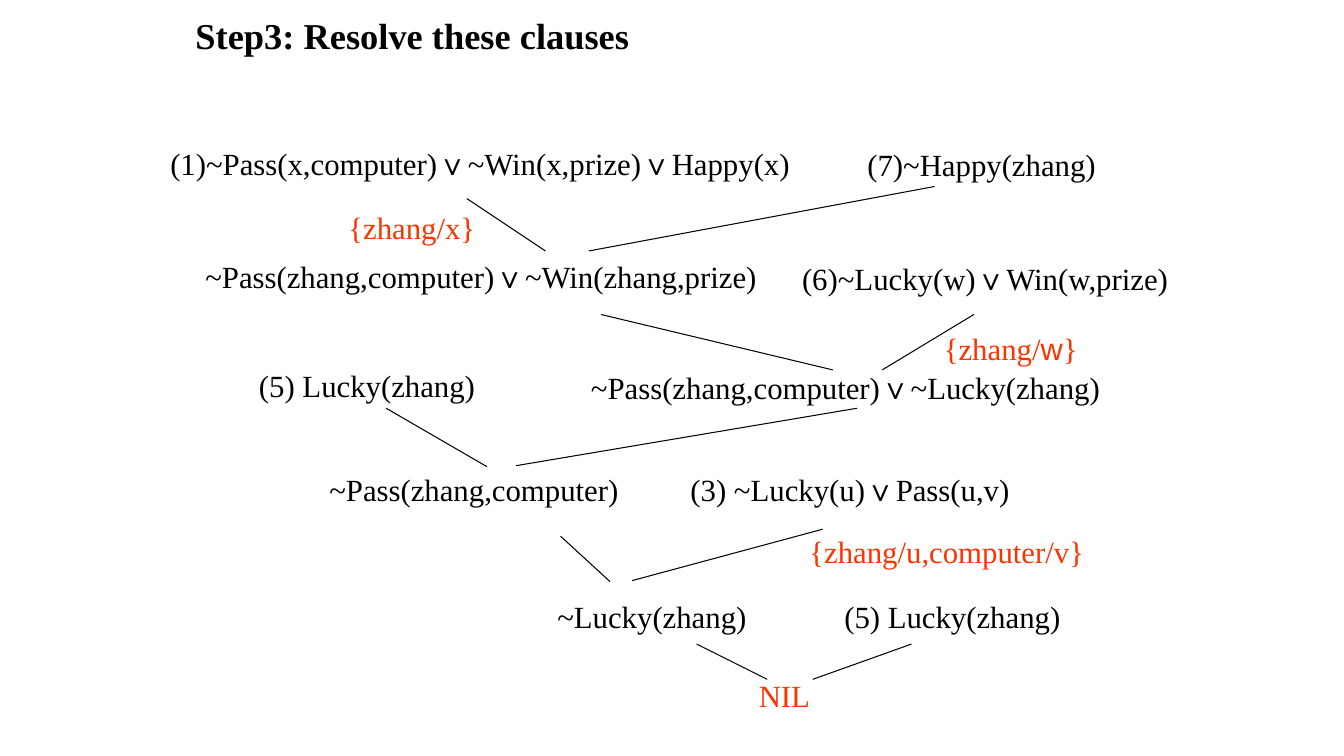
from lxml.etree import SubElement
from pptx import Presentation
from pptx.dml.color import RGBColor
from pptx.enum.shapes import MSO_CONNECTOR, MSO_SHAPE
from pptx.enum.text import MSO_ANCHOR, MSO_AUTO_SIZE, PP_ALIGN
from pptx.oxml.ns import qn
from pptx.util import Inches, Pt

BLACK, WHITE, RED = "000000", "FFFFFF", "FF3300"
SERIF = "Times New Roman"


def color(hex_value):
    return RGBColor.from_string(hex_value)


def write(text, frame, size=22, ink=BLACK, bold=False, align=PP_ALIGN.CENTER,
          anchor=MSO_ANCHOR.TOP, wrap=True, sans=""):
    frame.word_wrap = wrap
    frame.vertical_anchor = anchor
    paragraph = frame.paragraphs[0]
    paragraph.alignment = align
    before, middle, after = text.partition(sans) if sans else (text, "", "")
    for part, typeface in ((before, SERIF), (middle, "Arial"), (after, SERIF)):
        if part:
            run = paragraph.add_run()
            run.text = part
            run.font.name = typeface
            run.font.size = Pt(size)
            run.font.bold = bold
            run.font.color.rgb = color(ink)


prs = Presentation()
prs.slide_width, prs.slide_height = Inches(13.33), Inches(7.5)
slide = prs.slides.add_slide(prs.slide_layouts[6])
shapes = slide.shapes

resolution_lines = [
    (4.63, 1.97, 5.41, 2.49), (5.84, 2.49, 9.27, 1.85),
    (5.96, 3.12, 8.26, 3.67), (8.75, 3.67, 9.66, 3.12),
    (3.83, 4.05, 4.83, 4.63), (5.12, 4.62, 8.5, 4.05),
    (5.56, 5.32, 6.05, 5.77), (6.27, 5.76, 8.16, 5.25),
    (6.91, 6.39, 7.61, 6.74), (8.06, 6.74, 9.04, 6.39),
]
for ends in resolution_lines:
    branch = shapes.add_connector(MSO_CONNECTOR.STRAIGHT, *map(Inches, ends))
    branch.line.color.rgb = color(BLACK)
    branch.line.width = Pt(0.75)
    SubElement(branch._element.spPr, qn("a:effectLst"))

substitutions = [
    ("{zhang/x}", 3.67, 2.13, 0.83, 0.25, True, ""),
    ("{zhang/u,computer/v}", 8.1, 5.34, 2.58, 0.25, False, ""),
    ("{zhang/w}", 9.61, 3.31, 0.83, 0.28, True, "w"),
]
for text, left, top, width, height, filled, sans in substitutions:
    substitution = shapes.add_shape(
        MSO_SHAPE.RECTANGLE, *map(Inches, (left, top, width, height)))
    substitution.shadow.inherit = False
    if filled:
        substitution.fill.solid()
        substitution.fill.fore_color.rgb = color(WHITE)
    else:
        substitution.fill.background()
    substitution.line.color.rgb = color(WHITE)
    substitution.line.width = Pt(0.75)
    write(text, substitution.text_frame, ink=RED, wrap=False,
          anchor=MSO_ANCHOR.MIDDLE, sans=sans)

clauses = [
    ("(1)~Pass(x,computer)∨~Win(x,prize)∨Happy(x)", 1.59, 1.39, 6.68, {"align": PP_ALIGN.LEFT}),
    ("(7)~Happy(zhang)", 8.16, 1.4, 3.15, {}),
    ("~Pass(zhang,computer)∨~Win(zhang,prize)", 1.67, 2.51, 6.2, {}),
    ("(6)~Lucky(w)∨Win(w,prize)", 7.66, 2.53, 4.22, {}),
    ("(5) Lucky(zhang)", 1.77, 3.59, 3.74, {}),
    ("~Pass(zhang,computer)∨~Lucky(zhang)", 5.56, 3.61, 5.65, {}),
    ("~Pass(zhang,computer)", 2.83, 4.62, 3.74, {}),
    ("(3) ~Lucky(u)∨Pass(u,v)", 6.59, 4.62, 3.68, {}),
    ("~Lucky(zhang)", 4.92, 5.88, 3.09, {}),
    ("(5) Lucky(zhang)", 7.9, 5.88, 3.09, {}),
    ("NIL", 7.01, 6.66, 1.54, {"ink": RED}),
]
for text, left, top, width, style in clauses:
    clause = shapes.add_textbox(*map(Inches, (left, top, width, 0.39)))
    write(text, clause.text_frame, **style)

title = shapes.add_textbox(Inches(1.84), Inches(0.08), Inches(4.64), Inches(0.54))
write("Step3: Resolve these clauses", title.text_frame, size=26, bold=True,
      align=PP_ALIGN.LEFT, wrap=False)
title.text_frame.auto_size = MSO_AUTO_SIZE.SHAPE_TO_FIT_TEXT

prs.save("out.pptx")
